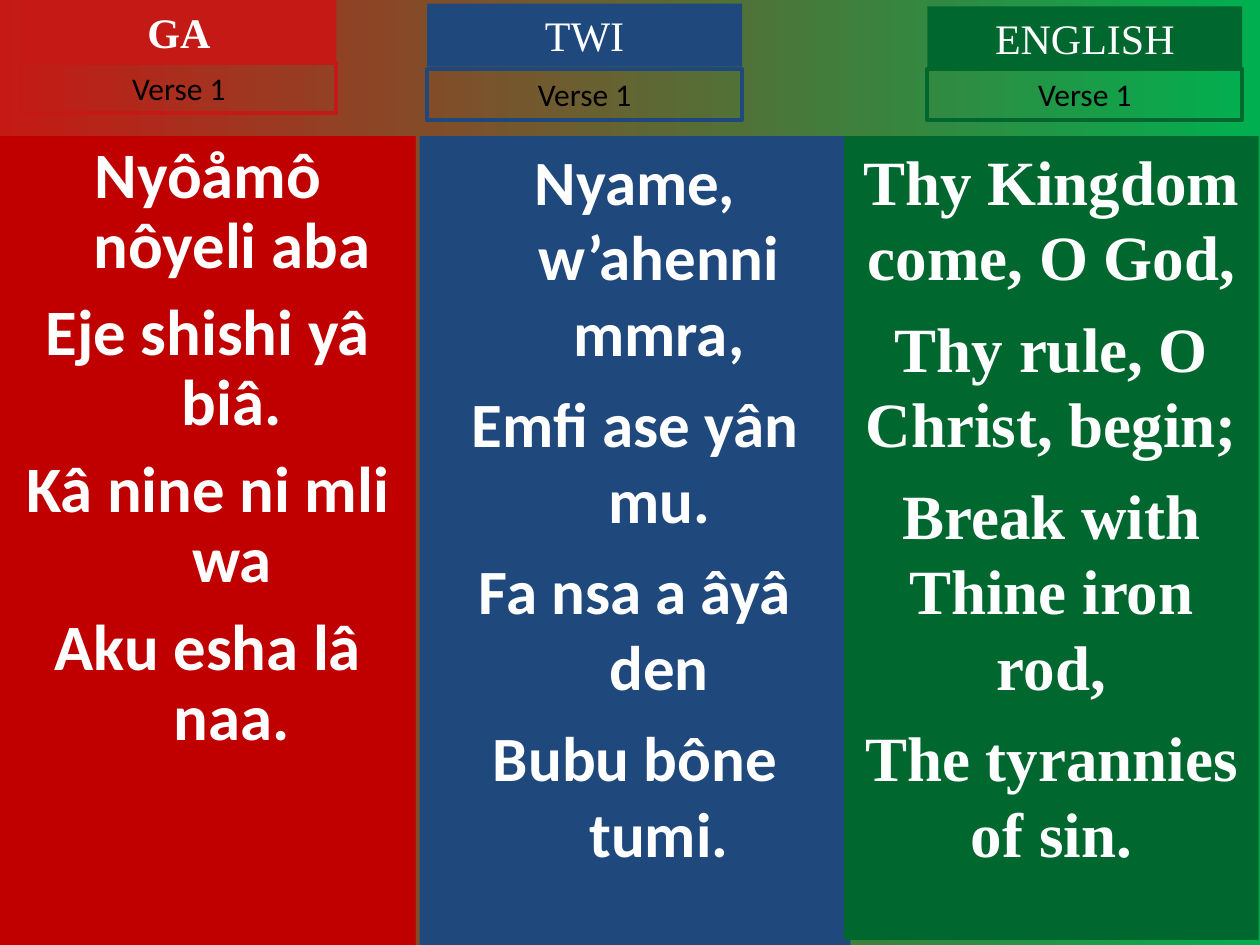
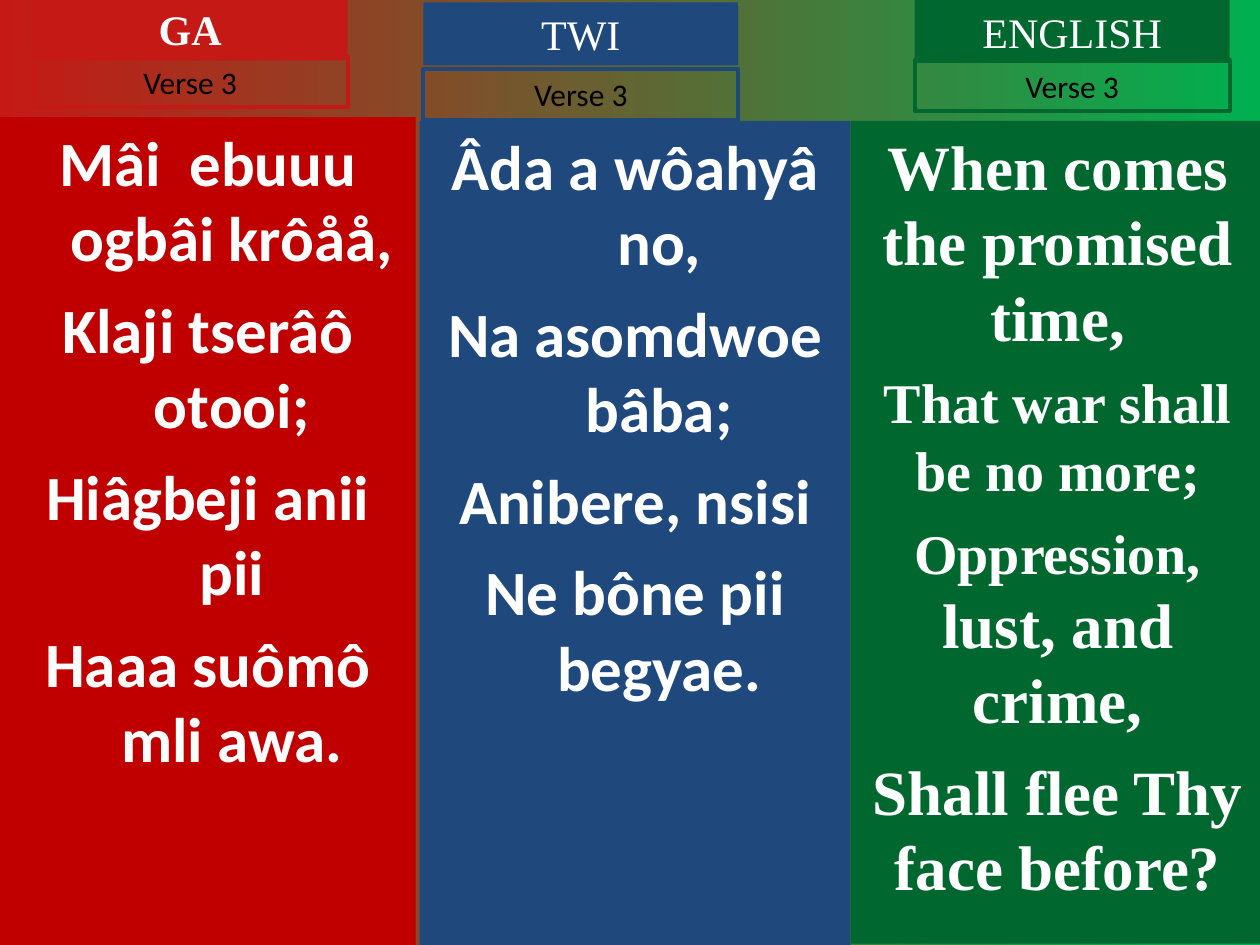
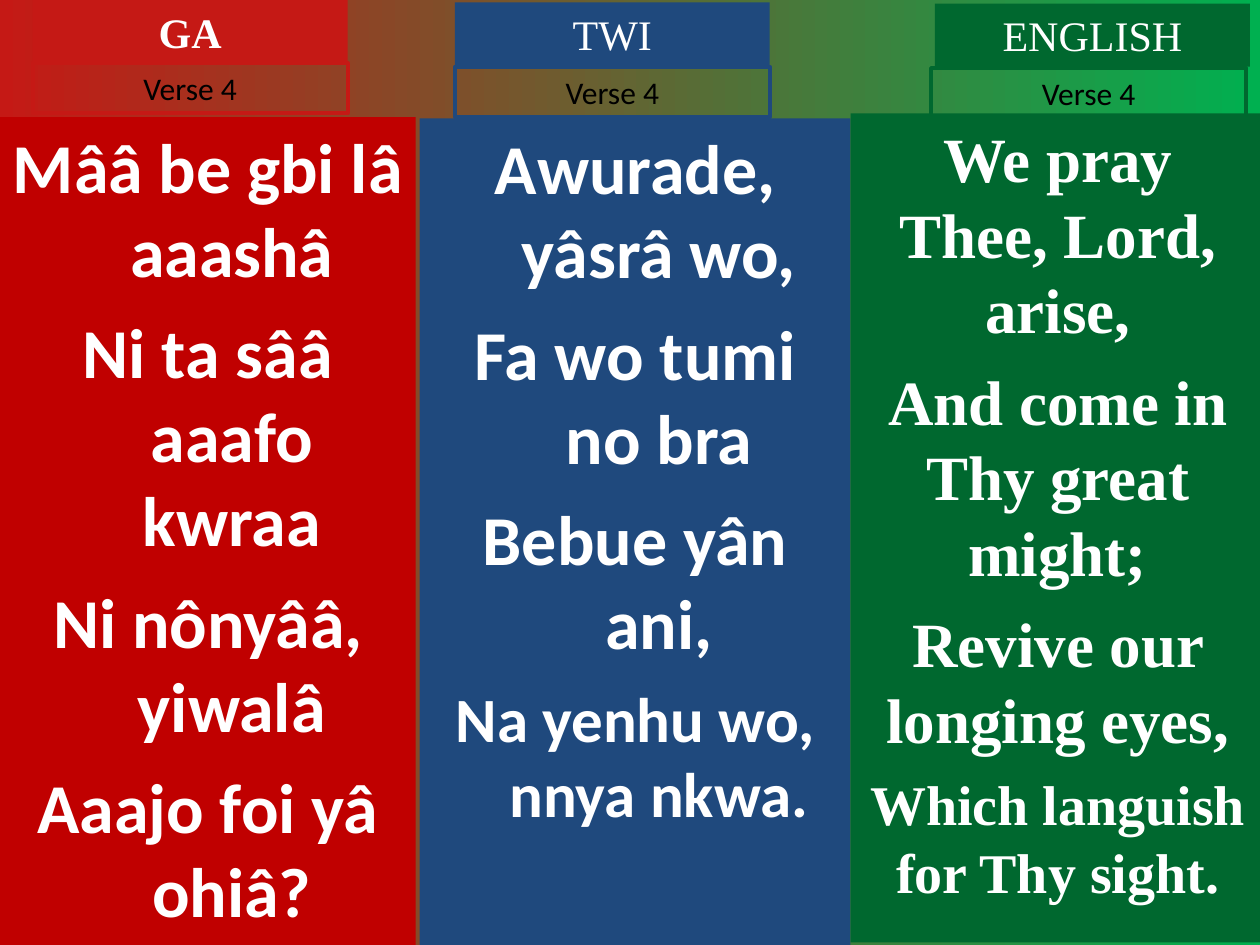
from math import ceil

from pptx import Presentation
from pptx.dml.color import RGBColor
from pptx.enum.shapes import MSO_SHAPE
from pptx.enum.text import MSO_ANCHOR, MSO_AUTO_SIZE, PP_ALIGN
from pptx.util import Inches, Pt

RED = RGBColor(0xC5, 0x19, 0x15)
DEEP_RED = RGBColor(0xC0, 0x00, 0x00)
BLUE = RGBColor(0x1F, 0x49, 0x7D)
GREEN = RGBColor(0x00, 0x68, 0x2F)
BRIGHT_GREEN = RGBColor(0x00, 0xB0, 0x50)
WHITE = RGBColor(0xFF, 0xFF, 0xFF)
BLACK = RGBColor(0x00, 0x00, 0x00)
SANS, SERIF = "Calibri", "Times New Roman"

# Look of each language column, the same on every slide
LANGUAGES = {
    "GA": dict(accent=RED, panel=DEEP_RED, font=SANS, bold_title=True, hanging=0.38),
    "TWI": dict(accent=BLUE, panel=BLUE, font=SANS, bold_title=False, hanging=0.38),
    "ENGLISH": dict(accent=GREEN, panel=GREEN, font=SERIF, bold_title=False, hanging=0),
}

# Per verse and language: panel box, title corner, verse label corner,
# line spacing and lyrics; each lyric line is a list of (text, size) runs
VERSES = {
    "Verse 1": {
        "GA": ((0, 1.08, 3.3, 6.42), (0.17, 0), (0.17, 0.5), 0.9, [
            [("Nyôåmô nôyeli aba", 37)],
            [("Eje shishi yâ biâ.", 37)],
            [("Kâ nine ni mli wa", 37)],
            [("Aku esha lâ naa.", 37)]]),
        "TWI": ((3.33, 1.08, 3.42, 6.42), (3.39, 0.03), (3.39, 0.55), 1.0, [
            [("Nyame, w’ahenni mmra,", 36)],
            [("Emfi ase yân mu.", 36)],
            [("Fa nsa a âyâ den", 36)],
            [("Bubu bône tumi.", 36)]]),
        "ENGLISH": ((6.7, 1.08, 3.29, 6.38), (7.36, 0.05), (7.36, 0.55), 1.0, [
            [("Thy Kingdom come, O God,", 36)],
            [("Thy rule, O Christ, begin;", 36)],
            [("Break with Thine iron rod,", 36)],
            [("The tyrannies of sin.", 36)]]),
    },
    "Verse 3": {
        "GA": ((0, 0.93, 3.3, 6.57), (0.26, -0.02), (0.26, 0.45), 1.0, [
            [("Mâi  ebuuu ogbâi krôåå,", 36)],
            [("Klaji tserâô otooi;", 36)],
            [("Hiâgbeji anii pii", 36)],
            [("Haaa suômô mli awa.", 36)]]),
        "TWI": ((3.33, 0.96, 3.42, 6.54), (3.36, 0.02), (3.36, 0.55), 1.0, [
            [("Âda a wôahyâ no,", 36)],
            [("Na asomdwoe bâba;", 36)],
            [("Anibere, nsisi", 36)],
            [("Ne bône pii begyae.", 36)]]),
        "ENGLISH": ((6.75, 0.96, 3.29, 6.53), (7.26, 0), (7.26, 0.48), 1.0, [
            [("When comes the promised time,", 36)],
            [("That war shall be no more;", 32)],
            [("Oppression, ", 32), ("lust, and crime,", 36)],
            [("Shall flee Thy face before?", 36)]]),
    },
    "Verse 4": {
        "GA": ((0, 0.93, 3.3, 6.57), (0.26, 0), (0.26, 0.5), 1.0, [
            [("Mââ be gbi lâ aaashâ", 40)],
            [("Ni ta sââ aaafo kwraa", 40)],
            [("Ni nônyââ, yiwalâ", 40)],
            [("Aaajo foi yâ ohiâ?", 40)]]),
        "TWI": ((3.33, 0.94, 3.42, 6.56), (3.61, 0.02), (3.61, 0.53), 1.0, [
            [("Awurade, yâsrâ wo,", 40)],
            [("Fa wo tumi no bra", 40)],
            [("Bebue yân ani,", 40)],
            [("Na yenhu wo, nnya nkwa.", 36)]]),
        "ENGLISH": ((6.75, 0.9, 3.29, 6.58), (7.42, 0.03), (7.39, 0.54), 1.0, [
            [("We pray Thee, Lord, arise,", 36)],
            [("And come in Thy great might;", 36)],
            [("Revive our longing eyes,", 36)],
            [("Which languish for Thy sight.", 32)]]),
    },
}
TITLE_SIZE = (2.5, 0.5)
LABEL_SIZE = (2.5, 0.4)


def add_box(slide, box, lines, font, color, bold=False, fill=None, outline=None,
            hanging=0, spacing=1.0, grow=False):
    """Rectangle with centred lines, each a list of (text, size) runs."""
    rectangle = slide.shapes.add_shape(MSO_SHAPE.RECTANGLE, *map(Inches, box))
    rectangle.shadow.inherit = False
    if fill is None:
        rectangle.fill.background()
    else:
        rectangle.fill.solid()
        rectangle.fill.fore_color.rgb = fill
    if outline is None:
        rectangle.line.fill.background()
    else:
        rectangle.line.color.rgb = outline
        rectangle.line.width = Pt(2.25)

    frame = rectangle.text_frame
    frame.word_wrap = True
    frame.vertical_anchor = MSO_ANCHOR.TOP
    frame.auto_size = MSO_AUTO_SIZE.SHAPE_TO_FIT_TEXT if grow else MSO_AUTO_SIZE.NONE
    for index, runs in enumerate(lines):
        paragraph = frame.paragraphs[0] if index == 0 else frame.add_paragraph()
        paragraph.alignment = PP_ALIGN.CENTER
        if spacing != 1.0:
            paragraph.line_spacing = spacing
        if index:
            # A quarter of the largest type size separates the lines
            paragraph.space_before = Pt(ceil(max(size for _, size in runs) / 4))
        if hanging:
            properties = paragraph._p.get_or_add_pPr()
            properties.set("marL", str(Inches(hanging)))
            properties.set("indent", str(-Inches(hanging)))
        for text, size in runs:
            run = paragraph.add_run()
            run.text = text
            run.font.name = font
            run.font.size = Pt(size)
            run.font.bold = bold
            run.font.color.rgb = color


def add_column(slide, verse, language, column):
    look = LANGUAGES[language]
    panel, title, label, spacing, lyrics = column
    add_box(slide, panel, lyrics, look["font"], WHITE, bold=True, fill=look["panel"],
            hanging=look["hanging"], spacing=spacing)
    add_box(slide, title + TITLE_SIZE, [[(language, 24)]], SERIF, WHITE,
            bold=look["bold_title"], fill=look["accent"], grow=True)
    add_box(slide, label + LABEL_SIZE, [[(verse, 18)]], SANS, BLACK,
            outline=look["accent"], grow=True)


def paint_background(slide):
    fill = slide.background.fill
    fill.gradient()
    fill.gradient_angle = 0
    for stop, color in zip(fill.gradient_stops, (RED, BRIGHT_GREEN)):
        stop.color.rgb = color


def main():
    deck = Presentation()
    deck.slide_width, deck.slide_height = Inches(10), Inches(7.5)
    for verse, columns in VERSES.items():
        slide = deck.slides.add_slide(deck.slide_layouts[6])
        paint_background(slide)
        for language, column in columns.items():
            add_column(slide, verse, language, column)
    deck.save("out.pptx")


if __name__ == "__main__":
    main()
